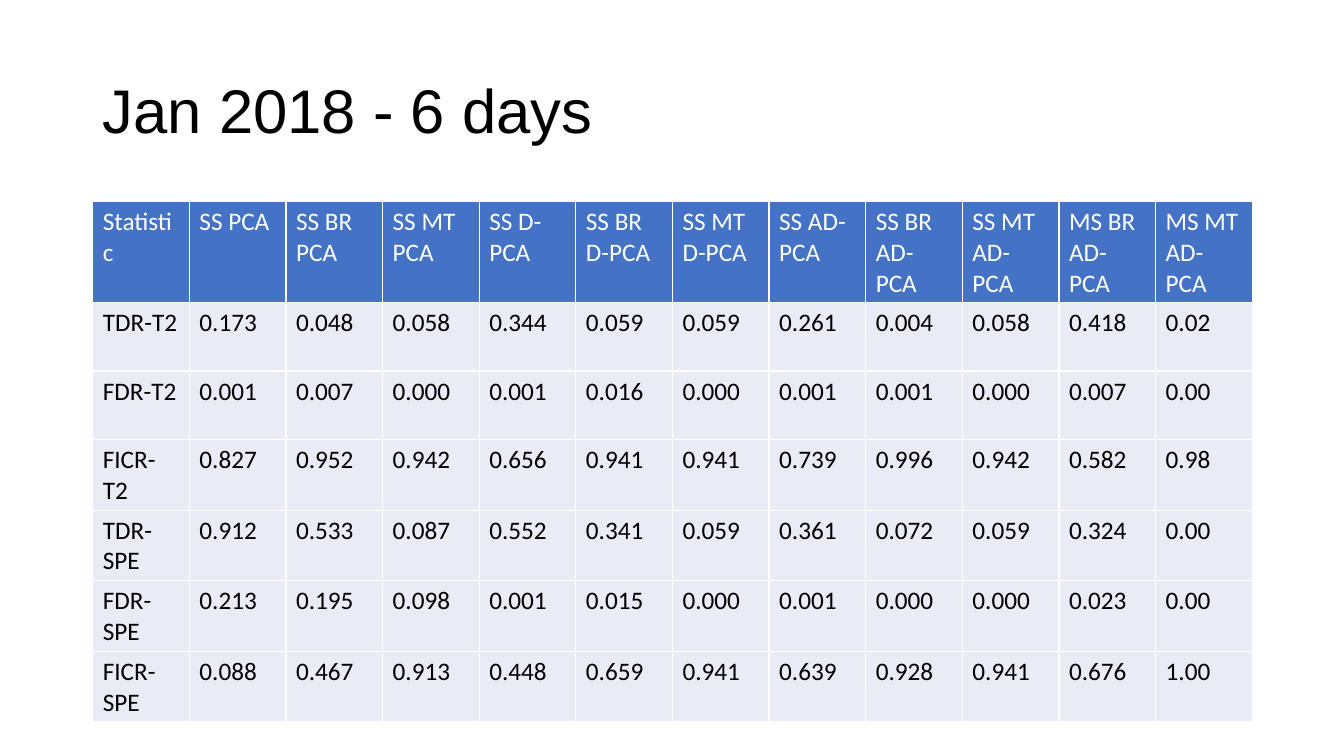
from pptx import Presentation, util as u
from pptx.dml.color import RGBColor
from pptx.enum import text

# Content
HEADING = "Jan 2018 - 6 days"
METHODS = ["Statistic", "SS PCA", "SS BR PCA", "SS MT PCA", "SS D-PCA",
           "SS BR D-PCA", "SS MT D-PCA", "SS AD-PCA", "SS BR AD-PCA",
           "SS MT AD-PCA", "MS BR AD-PCA", "MS MT AD-PCA"]
RATES = {
    "TDR-T2": "0.173 0.048 0.058 0.344 0.059 0.059 0.261 0.004 0.058 0.418 0.02",
    "FDR-T2": "0.001 0.007 0.000 0.001 0.016 0.000 0.001 0.001 0.000 0.007 0.00",
    "FICR-T2": "0.827 0.952 0.942 0.656 0.941 0.941 0.739 0.996 0.942 0.582 0.98",
    "TDR-SPE": "0.912 0.533 0.087 0.552 0.341 0.059 0.361 0.072 0.059 0.324 0.00",
    "FDR-SPE": "0.213 0.195 0.098 0.001 0.015 0.000 0.001 0.000 0.000 0.023 0.00",
    "FICR-SPE": "0.088 0.467 0.913 0.448 0.659 0.941 0.639 0.928 0.941 0.676 1.00",
}
rows = [METHODS] + [[stat, *values.split()] for stat, values in RATES.items()]

# Colours
BLACK = RGBColor(0x00, 0x00, 0x00)
WHITE = RGBColor(0xFF, 0xFF, 0xFF)
BLUE = RGBColor(0x44, 0x72, 0xC4)
PALE = RGBColor(0xE9, 0xEB, 0xF5)

# Layout
LEFT, WIDTH = u.Inches(0.92), u.Inches(11.5)
HEADING_TOP, HEADING_HEIGHT = u.Inches(0.4), u.Inches(1.45)
RATES_TOP, ROW_HEIGHT = u.Inches(2), u.Inches(0.68)


def style(paragraph, font_name, size, colour):
    for run in paragraph.runs:
        run.font.name = font_name
        run.font.size = u.Pt(size)
        run.font.bold = False
        run.font.color.rgb = colour


deck = Presentation()
deck.slide_width, deck.slide_height = u.Inches(13.33), u.Inches(7.5)
slide = deck.slides.add_slide(deck.slide_layouts[6])

# Heading
heading = slide.shapes.add_textbox(LEFT, HEADING_TOP, WIDTH, HEADING_HEIGHT).text_frame
heading.word_wrap = True
heading.vertical_anchor = text.MSO_ANCHOR.MIDDLE
heading.text = HEADING
heading.paragraphs[0].line_spacing = 0.9
style(heading.paragraphs[0], "Arial", 44, BLACK)

# Rates: the default table style supplies the white cell borders
rates = slide.shapes.add_table(len(rows), len(METHODS), LEFT, RATES_TOP,
                               WIDTH, ROW_HEIGHT * len(rows)).table
rates.horz_banding = False
for r, values in enumerate(rows):
    fill, ink = (PALE, BLACK) if r else (BLUE, WHITE)
    for c, value in enumerate(values):
        cell = rates.cell(r, c)
        cell.fill.solid()
        cell.fill.fore_color.rgb = fill
        cell.text_frame.text = value
        style(cell.text_frame.paragraphs[0], "Calibri", 18, ink)

deck.save("out.pptx")
